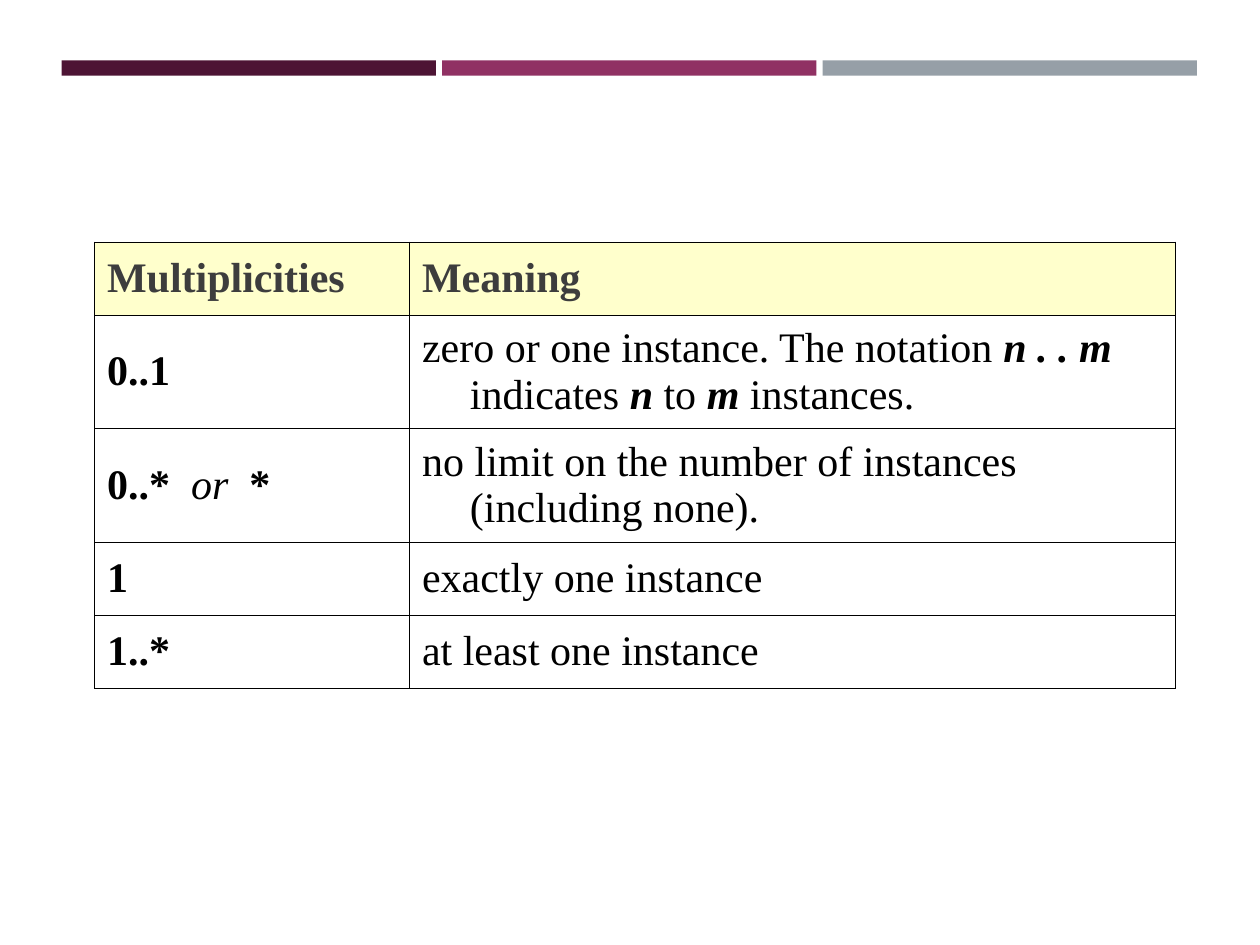
"""Build the UML multiplicities slide with its three-bar header and table."""
import dataclasses
import typing

import lxml.etree
import pptx
import pptx.dml.color
import pptx.enum.shapes
import pptx.enum.text
import pptx.oxml.ns
import pptx.util

Inches = pptx.util.Inches


@dataclasses.dataclass(frozen=True)
class Theme:
    bars: tuple = ("4D1434", "903163", "969FA7")
    header: str = "3D3D3D"
    header_fill: str = "FFFFCC"
    body: str = "000000"
    border: str = "000000"
    border_width: float = 0.34
    table_size: int = 24
    table_font: str = "Times New Roman"


class Run(typing.NamedTuple):
    text: str
    bold: bool = False
    italic: bool = False


class Row(typing.NamedTuple):
    height: float
    cells: tuple


THEME = Theme()
BAR_LEFT, BAR_TOP, BAR_PITCH, BAR_WIDTH, BAR_HEIGHT = 0.49, 0.48, 3.02, 2.97, 0.12
TABLE_LEFT, TABLE_TOP = 0.75, 1.92
COLUMN_WIDTHS = (2.5, 6.08)
HANGING = 0.38
ROWS = (
    Row(0.58, ([Run("Multiplicities", True)], [Run("Meaning", True)])),
    Row(0.9, (
        [Run("0..1", True)],
        [Run("zero or one instance. The notation "), Run("n . . m", True, True),
         Run(" indicates "), Run("n", True, True), Run(" to "),
         Run("m", True, True), Run(" instances.")],
    )),
    Row(0.9, (
        [Run("0..*", True), Run("  or  ", italic=True), Run("*", True)],
        [Run("no limit on the number of instances (including none).")],
    )),
    Row(0.58, ([Run("1", True)], [Run("exactly one instance")])),
    Row(0.58, ([Run("1..*", True)], [Run("at least one instance")])),
)


def rgb(color: str) -> pptx.dml.color.RGBColor:
    return pptx.dml.color.RGBColor.from_string(color)


def add_run(p, run: Run, color: str) -> None:
    r = p.add_run()
    r.text = run.text
    formats = {"name": THEME.table_font, "size": pptx.util.Pt(THEME.table_size),
               "bold": run.bold, "italic": run.italic}
    for name, value in formats.items():
        setattr(r.font, name, value)
    r.font.color.rgb = rgb(color)


def add_bar(s, index: int, color: str) -> None:
    sp = s.shapes.add_shape(
        pptx.enum.shapes.MSO_SHAPE.RECTANGLE,
        Inches(BAR_LEFT + index * BAR_PITCH), Inches(BAR_TOP),
        Inches(BAR_WIDTH), Inches(BAR_HEIGHT))
    sp.shadow.inherit = False
    sp.fill.solid()
    sp.fill.fore_color.rgb = rgb(color)
    sp.line.fill.background()


def add_borders(cell) -> None:
    qn = pptx.oxml.ns.qn
    tc_pr = cell._tc.get_or_add_tcPr()
    for side in ("a:lnL", "a:lnR", "a:lnT", "a:lnB"):
        ln = lxml.etree.SubElement(
            tc_pr, qn(side), w=str(int(pptx.util.Pt(THEME.border_width))))
        fill = lxml.etree.SubElement(ln, qn("a:solidFill"))
        lxml.etree.SubElement(fill, qn("a:srgbClr"), val=THEME.border)


def fill_cell(cell, runs: list[Run], is_header: bool) -> None:
    add_borders(cell)
    if is_header:
        cell.fill.solid()
        cell.fill.fore_color.rgb = rgb(THEME.header_fill)
    else:
        cell.fill.background()
    cell.vertical_anchor = pptx.enum.text.MSO_ANCHOR.MIDDLE
    p = cell.text_frame.paragraphs[0]
    p_pr = p._p.get_or_add_pPr()
    for name, value in {"marL": HANGING, "indent": -HANGING}.items():
        p_pr.set(name, str(int(Inches(value))))
    for run in runs:
        add_run(p, run, THEME.header if is_header else THEME.body)


def add_multiplicities(s) -> None:
    table = s.shapes.add_table(
        len(ROWS), len(COLUMN_WIDTHS), Inches(TABLE_LEFT), Inches(TABLE_TOP),
        Inches(sum(COLUMN_WIDTHS)), Inches(sum(row.height for row in ROWS))).table
    table.horz_banding = False
    for column, width in zip(table.columns, COLUMN_WIDTHS):
        column.width = Inches(width)
    for i, row in enumerate(ROWS):
        table.rows[i].height = Inches(row.height)
        for j, runs in enumerate(row.cells):
            fill_cell(table.cell(i, j), runs, i == 0)


def main() -> None:
    prs = pptx.Presentation()
    prs.slide_width, prs.slide_height = Inches(10), Inches(7.5)
    s = prs.slides.add_slide(prs.slide_layouts[6])
    for index, color in enumerate(THEME.bars):
        add_bar(s, index, color)
    add_multiplicities(s)
    prs.save("out.pptx")


if __name__ == "__main__":
    main()
